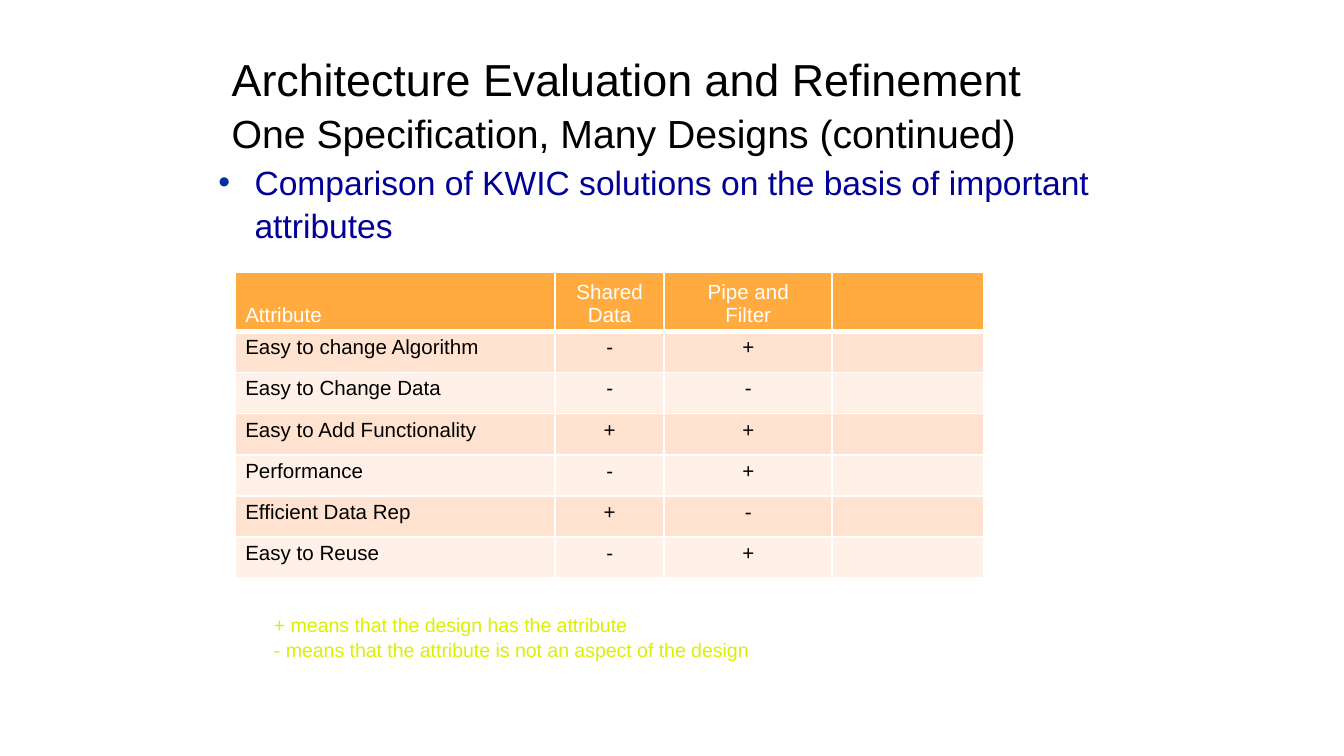
from lxml.etree import SubElement
from pptx import Presentation
from pptx.dml.color import RGBColor
from pptx.enum.text import MSO_ANCHOR, PP_ALIGN
from pptx.oxml.ns import qn
from pptx.util import Pt

TITLE = ("Architecture Evaluation and Refinement",
         "One Specification, Many Designs (continued)")
POINT = "Comparison of KWIC solutions on the basis of important attributes"
HEAD = ("Attribute", "Shared\nData", "Pipe and\nFilter", "")
ROWS = (
    ("Easy to change Algorithm", "-", "+", ""),
    ("Easy to Change Data", "-", "-", ""),
    ("Easy to Add Functionality", "+", "+", ""),
    ("Performance", "-", "+", ""),
    ("Efficient Data Rep", "+", "-", ""),
    ("Easy to Reuse", "-", "+", ""),
)
NOTES = ("+ means that the design has the attribute",
         "- means that the attribute is not an aspect of the design")

THEME = {
    "font": "Arial",
    "title": (24, "000000"), "sub": (21, "000000"),
    "point": (18, "000099"), "bullet": "003399",
    "head": (11, "FFFFFF"), "cell": (11, "000000"),
    "note": (10.5, "DBF000"),
    "fills": ("FFAB40", "FFE2CF", "FFF1E8"), "line": "FFFFFF",
}
WIDTHS = (171.2, 58.5, 90, 81)
HEAD_H, ROW_H = 30, 22
LEADING = 1.07


def style(run, kind):
    size, color = THEME[kind]
    for name, value in {"name": THEME["font"], "size": Pt(size)}.items():
        setattr(run.font, name, value)
    run.font.color.rgb = RGBColor.from_string(color)


def add_box(slide, place, inset):
    """Add a wrapping text box; inset is (horizontal, vertical)."""
    frame = slide.shapes.add_textbox(*map(Pt, place)).text_frame
    across, down = map(Pt, inset)
    for name, value in {"word_wrap": True, "margin_left": across,
                        "margin_right": across, "margin_top": down,
                        "margin_bottom": down}.items():
        setattr(frame, name, value)
    return frame


def add_lines(frame, lines, kinds, spacing=None, align=PP_ALIGN.LEFT):
    for i, (line, kind) in enumerate(zip(lines, kinds)):
        para = frame.paragraphs[0] if i == 0 else frame.add_paragraph()
        para.alignment = align
        para.line_spacing = spacing
        run = para.add_run()
        run.text = line
        style(run, kind)


def add_bullet(para, indent):
    props = para._p.get_or_add_pPr()
    props.set("marL", str(Pt(indent)))
    props.set("indent", str(-Pt(indent)))
    color = SubElement(props, qn("a:buClr"))
    SubElement(color, qn("a:srgbClr"), val=THEME["bullet"])
    SubElement(props, qn("a:buFont"), typeface=THEME["font"])
    SubElement(props, qn("a:buChar"), char="•")


def add_edges(cell, top, bottom):
    props = cell._tc.get_or_add_tcPr()
    for side, width in {"L": 1, "R": 1, "T": top, "B": bottom}.items():
        line = SubElement(props, qn("a:ln" + side), w=str(Pt(width)))
        fill = SubElement(line, qn("a:solidFill"))
        SubElement(fill, qn("a:srgbClr"), val=THEME["line"])


def fill_cell(cell, text, row, col):
    head = row == 0
    add_edges(cell, 3 if row == 1 else 1, 3 if head else 1)
    shade = THEME["fills"][0 if head else 2 - row % 2]
    cell.fill.solid()
    cell.fill.fore_color.rgb = RGBColor.from_string(shade)
    across, down = (Pt(5.2), Pt(2.6)) if text else (0, 0)
    for name, value in {"margin_left": across, "margin_right": across,
                        "margin_top": down, "margin_bottom": down}.items():
        setattr(cell, name, value)
    if text:
        lines = text.split("\n")
        cell.vertical_anchor = MSO_ANCHOR.BOTTOM if head else MSO_ANCHOR.TOP
        add_lines(cell.text_frame, lines,
                  ["head" if head else "cell"] * len(lines),
                  align=PP_ALIGN.CENTER if col else PP_ALIGN.LEFT)


def add_grid(slide, left, top):
    data = (HEAD, *ROWS)
    heights = [HEAD_H] + [ROW_H] * len(ROWS)
    size = (sum(WIDTHS), sum(heights))
    table = slide.shapes.add_table(len(data), len(HEAD),
                                   *map(Pt, (left, top, *size))).table
    table.first_row = table.horz_banding = False
    for column, width in zip(table.columns, WIDTHS):
        column.width = Pt(width)
    for r, (texts, height) in enumerate(zip(data, heights)):
        table.rows[r].height = Pt(height)
        for c, text in enumerate(texts):
            fill_cell(table.cell(r, c), text, r, c)


def main():
    deck = Presentation()
    deck.slide_width, deck.slide_height = Pt(720), Pt(405)
    slide = deck.slides.add_slide(deck.slide_layouts[6])

    title = add_box(slide, (117, 18.7, 512.6, 66.2), (7.2, 7.2))
    add_lines(title, TITLE, ("title", "sub"), LEADING)

    body = add_box(slide, (117, 85, 485.3, 275), (0, 0))
    add_bullet(body.paragraphs[0], 19.4)
    add_lines(body, [POINT], ["point"], LEADING)

    add_grid(slide, 126.2, 146)

    notes = add_box(slide, (139.7, 324, 423.4, 32.4), (7.2, 3.6))
    add_lines(notes, NOTES, ["note"] * len(NOTES), LEADING)
    deck.save("out.pptx")


if __name__ == "__main__":
    main()
